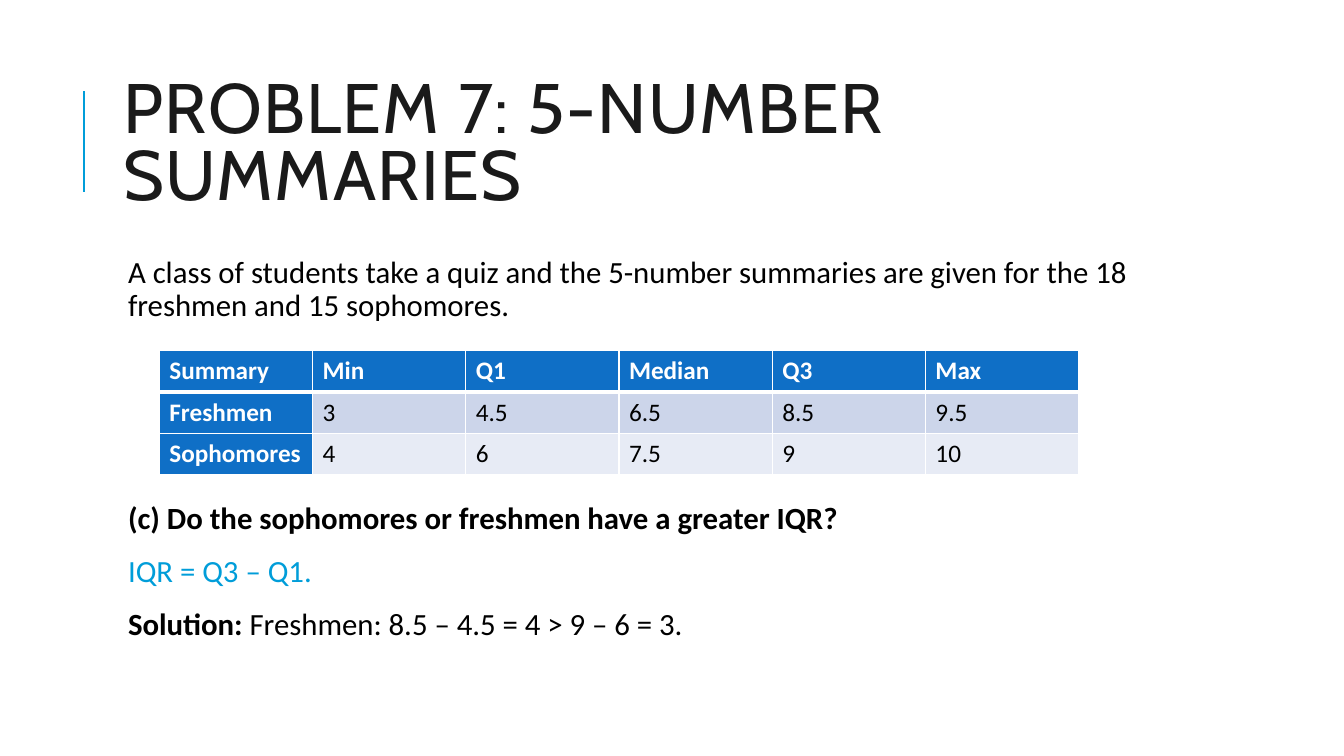
from dataclasses import dataclass

from lxml.etree import SubElement
from pptx import Presentation
from pptx.dml.color import RGBColor
from pptx.enum.shapes import MSO_CONNECTOR
from pptx.enum.text import MSO_ANCHOR, MSO_AUTO_SIZE, PP_ALIGN
from pptx.oxml.ns import qn
from pptx.util import Emu, Pt


@dataclass(frozen=True)
class Theme:
    heading_font: str = "Cabin"
    text_font: str = "Calibri"
    heading: str = "1A1A1A"
    text: str = "000000"
    accent: str = "009DD9"
    header: str = "0F6FC6"
    white: str = "FFFFFF"
    bands: tuple = ("CCD5EA", "E7EBF5")
    title_size: int = 50
    body_size: int = 22
    table_size: int = 18


def px(length):
    """Convert px, at 100 to the inch, into EMU."""
    return Emu(length * 9144)


class SlideBuilder:
    def __init__(self, page, theme):
        self.page = page
        self.theme = theme

    def style(self, font, name, size, color, bold=False):
        font.name = name
        font.size = Pt(size)
        font.color.rgb = RGBColor.from_string(color)
        font.bold = bold

    def place(self, box, left, top, width, height):
        box.left, box.top = px(left), px(top)
        box.width, box.height = px(width), px(height)
        box.text_frame.word_wrap = True
        box.text_frame.auto_size = MSO_AUTO_SIZE.NONE

    def rule(self, x, top, bottom):
        line = self.page.shapes.add_connector(
            MSO_CONNECTOR.STRAIGHT, px(x), px(bottom), px(x), px(top))
        line.line.color.rgb = RGBColor.from_string(self.theme.accent)
        line.line.width = Pt(1.5)
        SubElement(line._element.spPr, qn("a:effectLst"))

    def title(self, text, *frame):
        box = self.page.shapes.title
        self.place(box, *frame)
        box.text_frame.vertical_anchor = MSO_ANCHOR.MIDDLE
        para = box.text_frame.paragraphs[0]
        para.alignment = PP_ALIGN.LEFT
        para.line_spacing = 0.8
        self.style(para.font, self.theme.heading_font,
                   self.theme.title_size, self.theme.heading)
        span = para.add_run()
        span.text = text
        span._r.get_or_add_rPr().set("spc", "100")

    def body(self, paragraphs, *frame):
        """Fill the body with (space before, colour, [(text, bold), ...]) paragraphs."""
        box = self.page.placeholders[1]
        self.place(box, *frame)
        text_frame = box.text_frame
        text_frame.vertical_anchor = MSO_ANCHOR.TOP
        text_frame.margin_left = text_frame.margin_right = px(5)
        text_frame.margin_top = text_frame.margin_bottom = px(5)
        for index, (before, color, spans) in enumerate(paragraphs):
            para = text_frame.add_paragraph() if index else text_frame.paragraphs[0]
            para.line_spacing = 0.9
            para.space_before, para.space_after = Pt(before), Pt(2)
            properties = para._p.get_or_add_pPr()
            properties.set("marL", str(px(10)))
            properties.set("indent", "0")
            SubElement(properties, qn("a:buNone"))
            self.style(para.font, self.theme.text_font, self.theme.body_size,
                       color, bold=spans[0][1])
            for text, bold in spans:
                span = para.add_run()
                span.text = text
                if bold != spans[0][1]:
                    span.font.bold = bold

    def borders(self, cell, top, bottom):
        properties = cell._tc.get_or_add_tcPr()
        for side, width in (("L", 1), ("R", 1), ("T", top), ("B", bottom)):
            line = SubElement(properties, qn(f"a:ln{side}"), w=str(Pt(width)))
            fill = SubElement(line, qn("a:solidFill"))
            SubElement(fill, qn("a:srgbClr"), val=self.theme.white)

    def table(self, rows, left, top, column_width, row_height):
        theme = self.theme
        columns = len(rows[0])
        table = self.page.shapes.add_table(
            len(rows), columns, px(left), px(top),
            px(column_width * columns), px(row_height * len(rows))).table
        table.first_col = True
        for row, values in enumerate(rows):
            for column, value in enumerate(values):
                cell = table.cell(row, column)
                is_header = row == 0 or column == 0
                self.borders(cell, top=3 if row == 1 else 1, bottom=3 if row == 0 else 1)
                cell.fill.solid()
                cell.fill.fore_color.rgb = RGBColor.from_string(
                    theme.header if is_header else theme.bands[(row - 1) % 2])
                cell.text = value
                self.style(cell.text_frame.paragraphs[0].font, theme.text_font,
                           theme.table_size, theme.white if is_header else theme.text,
                           bold=is_header)


def main():
    deck = Presentation()
    deck.slide_width, deck.slide_height = px(1333), px(750)
    theme = Theme()
    slide = SlideBuilder(deck.slides.add_slide(deck.slide_layouts[1]), theme)

    slide.rule(83, 90, 190)
    slide.title("PROBLEM 7: 5-NUMBER SUMMARIES", 112, 64, 1063, 164)
    # The question's space before leaves room for the table.
    slide.body([
        (12, theme.text, [("A class of students take a quiz and the 5-number summaries "
                           "are given for the 18 freshmen and 15 sophomores.", False)]),
        (126, theme.text, [("(c) Do the sophomores or freshmen have a greater IQR?", True)]),
        (12, theme.accent, [("IQR = Q3 – Q1.", False)]),
        (12, theme.text, [("Solution: ", True),
                          ("Freshmen: 8.5 – 4.5 = 4 > 9 – 6 = 3.", False)]),
    ], 112, 250, 1063, 440)
    slide.table([
        ("Summary", "Min", "Q1", "Median", "Q3", "Max"),
        ("Freshmen", "3", "4.5", "6.5", "8.5", "9.5"),
        ("Sophomores", "4", "6", "7.5", "9", "10"),
    ], 158, 348, 152, 41)
    deck.save("out.pptx")


if __name__ == "__main__":
    main()
